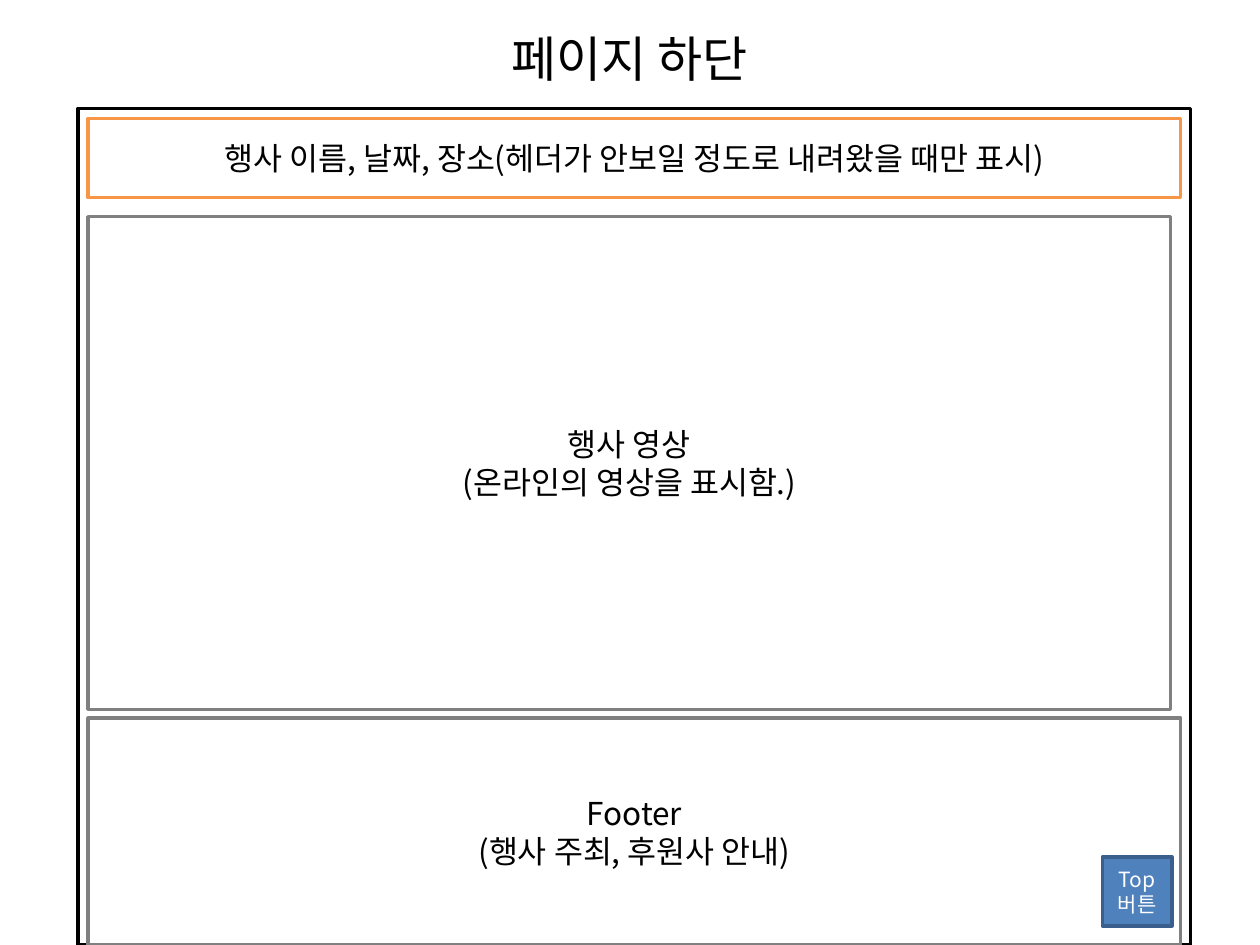
import pptx
import pptx.util
import pptx.dml.color
import pptx.enum.shapes
import pptx.enum.text
import pptx.oxml
import pptx.oxml.ns
from pptx.util import Inches

COLORS = {
    "black": "000000",
    "white": "FFFFFF",
    "gray": "808080",
    "orange": "F79646",
    "blue": "4F81BD",
    "navy": "3A5F8C",
}


class Wireframe:
    font = "Noto Sans CJK KR"
    line_width = pptx.util.Pt(2)

    def __init__(self, slide):
        self.s = slide

    def color(self, name):
        return pptx.dml.color.RGBColor.from_string(COLORS[name])

    def add_text(self, sp, lines, size, color):
        tf = sp.text_frame
        tf.word_wrap = True
        tf.vertical_anchor = pptx.enum.text.MSO_ANCHOR.MIDDLE
        for i, line in enumerate(lines):
            p = tf.add_paragraph() if i else tf.paragraphs[0]
            p.alignment = pptx.enum.text.PP_ALIGN.CENTER
            r = p.add_run()
            r.text = line
            r.font.size = pptx.util.Pt(size)
            r.font.color.rgb = self.color(color)
            r.font.name = self.font
            ea = pptx.oxml.parse_xml(
                f'<a:ea {pptx.oxml.ns.nsdecls("a")} typeface="{self.font}"/>')
            r._r.rPr.find(pptx.oxml.ns.qn("a:latin")).addnext(ea)

    def title(self, x, y, w, h, text):
        sp = self.s.shapes.add_textbox(Inches(x), Inches(y), Inches(w), Inches(h))
        self.add_text(sp, [text], 28, "black")

    def box(self, x, y, w, h, line, fill=None, lines=(), size=18, color="black"):
        sp = self.s.shapes.add_shape(
            pptx.enum.shapes.MSO_SHAPE.RECTANGLE,
            Inches(x), Inches(y), Inches(w), Inches(h))
        sp.shadow.inherit = False
        if fill:
            sp.fill.solid()
            sp.fill.fore_color.rgb = self.color(fill)
        else:
            sp.fill.background()
        sp.line.color.rgb = self.color(line)
        sp.line.width = self.line_width
        self.add_text(sp, lines, size, color)


def main():
    prs = pptx.Presentation()
    prs.slide_width = Inches(10)
    prs.slide_height = Inches(7.5)
    page = Wireframe(prs.slides.add_slide(prs.slide_layouts[6]))

    page.title(0.5, 0.3, 9, 0.32, "페이지 하단")
    page.box(0.62, 0.86, 8.83, 6.64, "black")
    page.box(0.7, 1.72, 8.59, 3.91, "gray", "white",
             ["행사 영상", "(온라인의 영상을 표시함.)"])
    page.box(0.7, 0.94, 8.67, 0.63, "orange", "white",
             ["행사 이름, 날짜, 장소(헤더가 안보일 정도로 내려왔을 때만 표시)"])
    page.box(0.7, 5.7, 8.67, 1.8, "gray", "white",
             ["Footer", "(행사 주최, 후원사 안내)"])
    page.box(8.75, 6.8, 0.55, 0.55, "navy", "blue", ["Top버튼"], 12, "white")

    prs.save("out.pptx")


if __name__ == "__main__":
    main()
